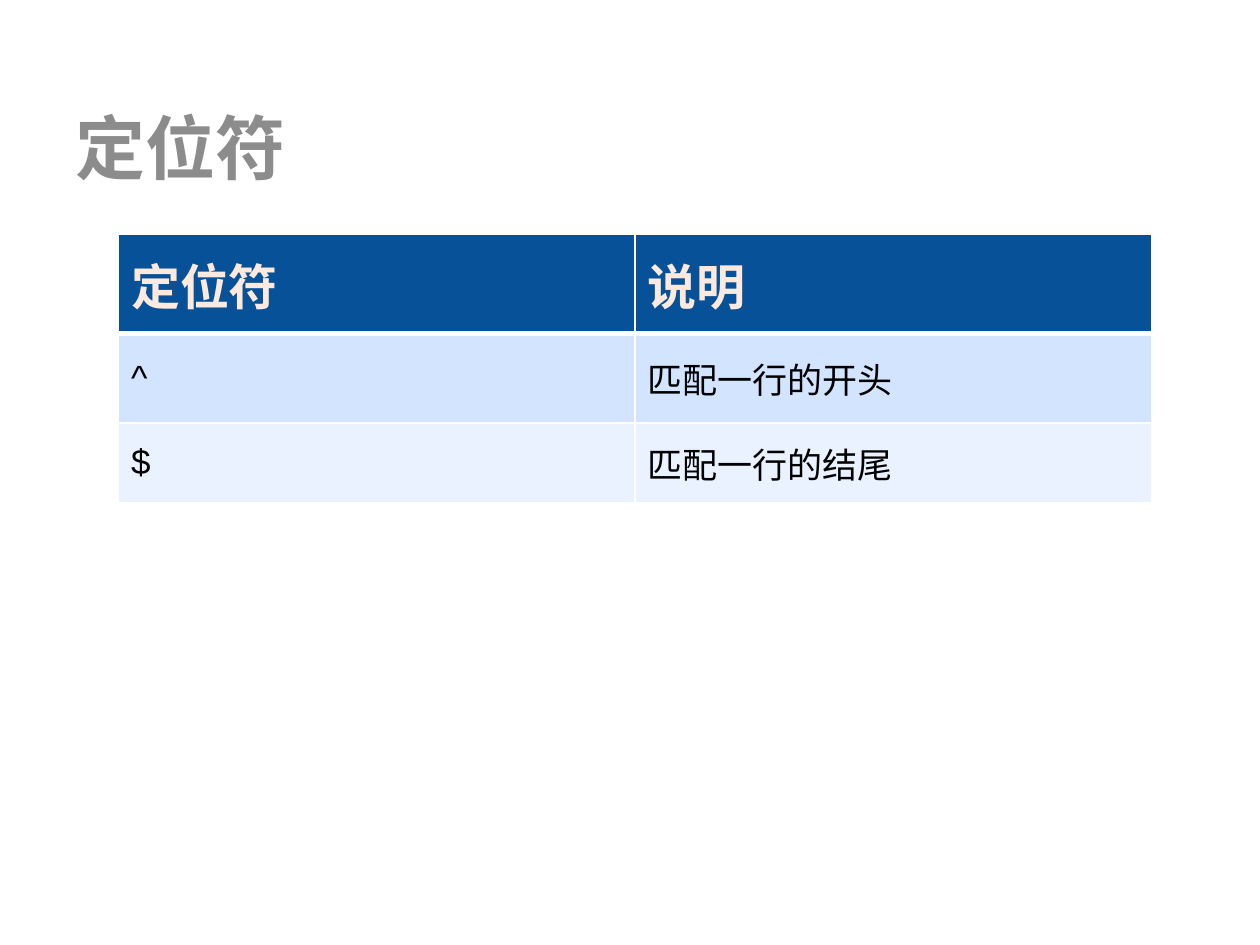
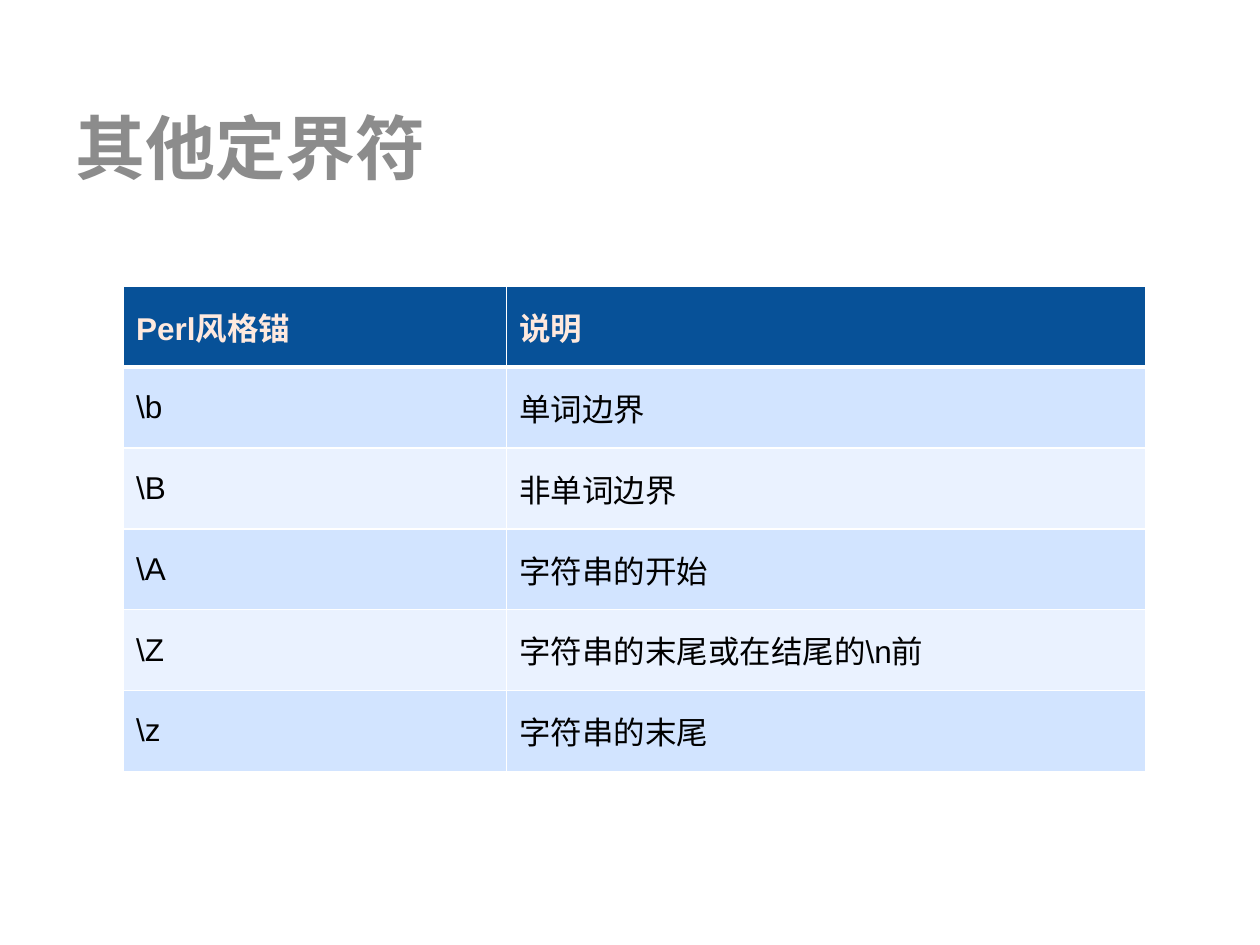
from pptx import Presentation
from pptx.util import Cm, Pt
from pptx.dml.color import RGBColor
from pptx.enum.text import MSO_ANCHOR as Anchor
from pptx.oxml import parse_xml
from pptx.oxml.ns import nsdecls

WHITE, BLACK, GREY = "FFFFFF", "000000", "8C8C8C"
NAVY, PEACH = "075198", "FEE9DE"
BANDS = ["EAF2FF", "D2E4FF"]
TITLE = (1.27, 1.98, 22.86, 1.96)


def color(code):
    return RGBColor.from_string(code)


def write(frame, text, size, face, code, bold):
    run = frame.paragraphs[0].add_run()
    run.text = text
    font = run.font
    font.size, font.name, font.bold = Pt(size), face, bold
    font.color.rgb = color(code)


def edge(cell, sides):
    props = cell._tc.get_or_add_tcPr()
    for spot, (side, width) in enumerate(sides.items()):
        props.insert(spot, parse_xml(
            f'<a:ln{side} {nsdecls("a")} w="{Pt(width)}"><a:solidFill>'
            f'<a:srgbClr val="{WHITE}"/></a:solidFill></a:ln{side}>'))


def add_title(slide, box, text):
    frame = slide.shapes.add_textbox(*map(Cm, box)).text_frame
    frame.word_wrap = True
    frame.vertical_anchor = Anchor.MIDDLE
    write(frame, text, 40, "Calibri", GREY, True)


def add_grid(slide, spot, cols, rows, data, sizes):
    box = (*spot, sum(cols), sum(rows))
    table = slide.shapes.add_table(len(rows), len(cols), *map(Cm, box)).table
    table.horz_banding = False
    for col, width in zip(table.columns, cols):
        col.width = Cm(width)
    for at, (row, height, texts) in enumerate(zip(table.rows, rows, data)):
        row.height = Cm(height)
        head = at == 0
        for cell, text in zip(row.cells, texts):
            cell.vertical_anchor = Anchor.MIDDLE
            cell.fill.solid()
            cell.fill.fore_color.rgb = color(NAVY if head else BANDS[at % 2])
            edge(cell, {"L": 1, "R": 1, "T": 3 if at == 1 else 1,
                        "B": 3 if head else 1})
            write(cell.text_frame, text, sizes[0 if head else 1], "Arial",
                  PEACH if head else BLACK, head)


def add_page(deck, title, *grid):
    slide = deck.slides.add_slide(deck.slide_layouts[6])
    add_title(slide, TITLE, title)
    add_grid(slide, *grid)


deck = Presentation()
deck.slide_width, deck.slide_height = Cm(25.4), Cm(19.05)

add_page(deck, "定位符", (2.39, 4.72), [10.41] * 2, [2.01, 1.8, 1.6], [
    ("定位符", "说明"),
    ("^", "匹配一行的开头"),
    ("$", "匹配一行的结尾"),
], (28, 20))

add_page(deck, "其他定界符", (2.49, 5.77), [7.72, 12.88], [1.63] * 6, [
    ("Perl风格锚", "说明"),
    ("\\b", "单词边界"),
    ("\\B", "非单词边界"),
    ("\\A", "字符串的开始"),
    ("\\Z", "字符串的末尾或在结尾的\\n前"),
    ("\\z", "字符串的末尾"),
], (18, 18))

deck.save("out.pptx")
